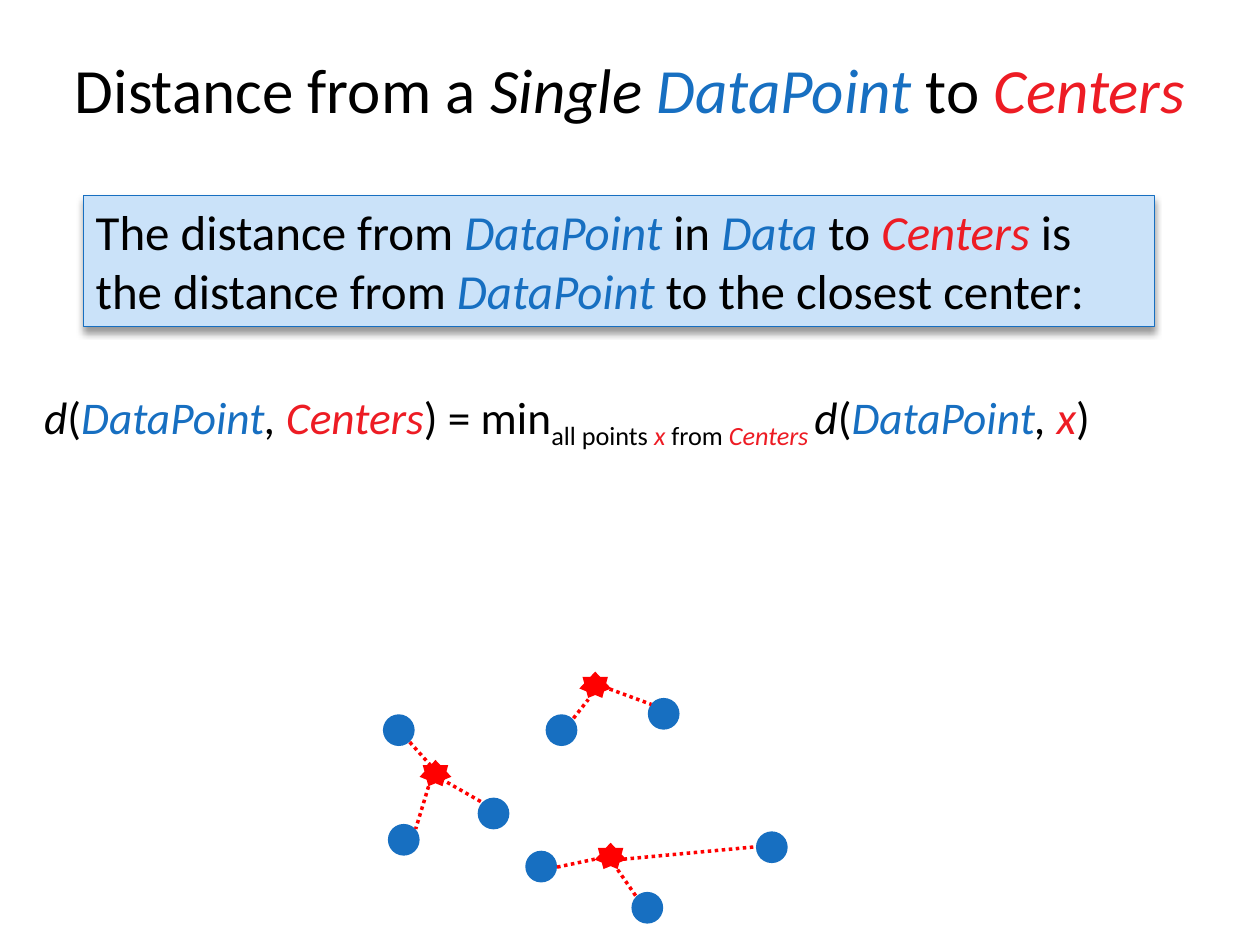
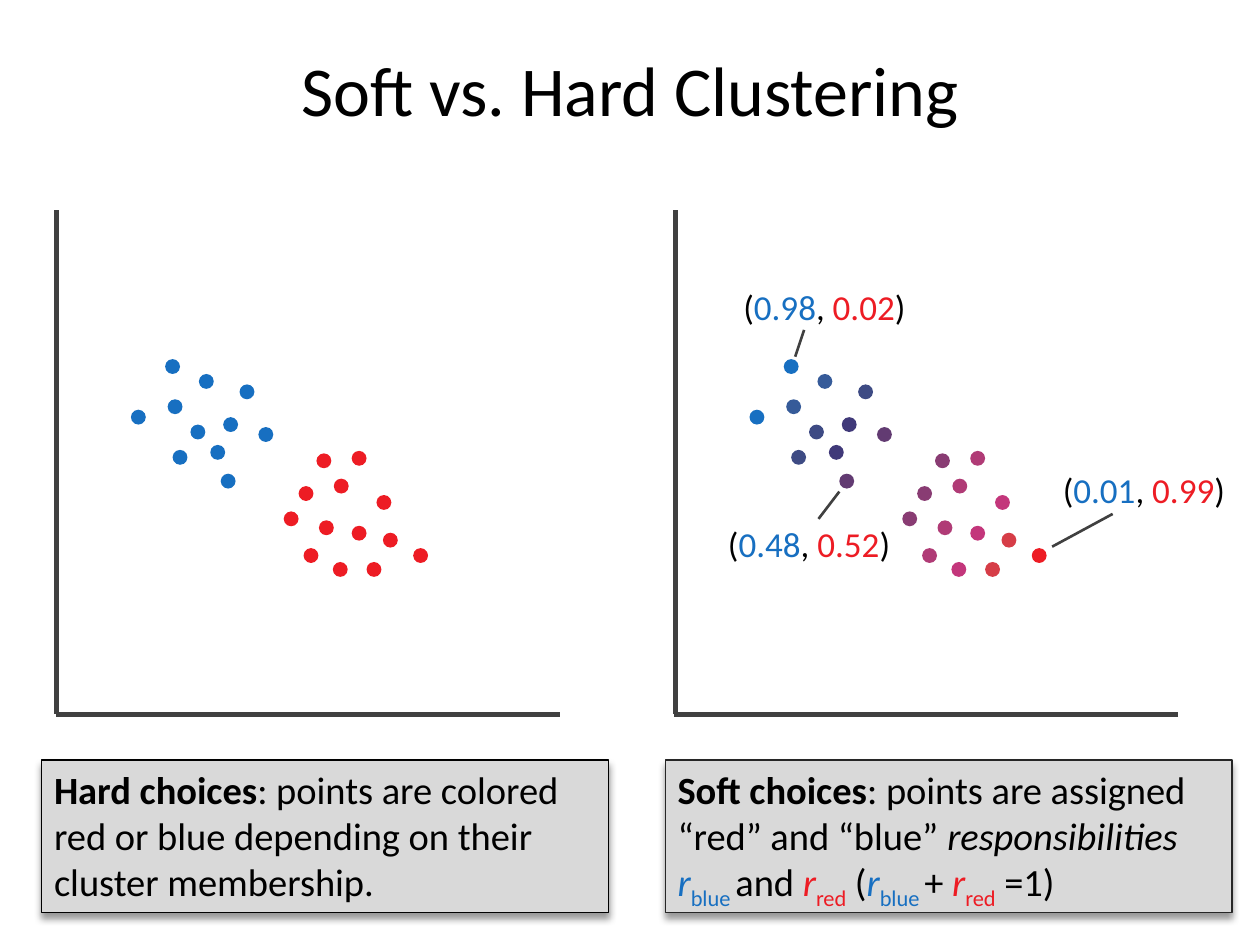
from lxml import etree
from pptx import Presentation
from pptx.dml.color import RGBColor
from pptx.enum.dml import MSO_LINE
from pptx.enum.shapes import MSO_CONNECTOR, MSO_SHAPE
from pptx.enum.text import MSO_ANCHOR, PP_ALIGN
from pptx.oxml.ns import qn
from pptx.util import Cm, Pt

OVAL, STAR, RECT = MSO_SHAPE.OVAL, MSO_SHAPE.STAR_7_POINT, MSO_SHAPE.RECTANGLE
STRAIGHT = MSO_CONNECTOR.STRAIGHT
DOTTED = MSO_LINE.ROUND_DOT
LEFT, CENTER = PP_ALIGN.LEFT, PP_ALIGN.CENTER
TOP, MIDDLE = MSO_ANCHOR.TOP, MSO_ANCHOR.MIDDLE

FONT = "Calibri"
BLACK = RGBColor(0x00, 0x00, 0x00)
BLUE = RGBColor(0x17, 0x6F, 0xC1)
RED = RGBColor(0xED, 0x1C, 0x24)
STAR_RED = RGBColor(0xFF, 0x00, 0x00)
PALE_BLUE = RGBColor(0xCA, 0xE2, 0xF9)
PALE_GRAY = RGBColor(0xD9, 0xD9, 0xD9)
DARK_GRAY = RGBColor(0x40, 0x40, 0x40)
NEAR_BLACK = RGBColor(0x26, 0x26, 0x26)
STEEL = RGBColor(0x36, 0x5B, 0x99)
NAVY = RGBColor(0x3E, 0x4B, 0x84)
INDIGO = RGBColor(0x40, 0x39, 0x79)
VIOLET = RGBColor(0x62, 0x3B, 0x72)
PLUM = RGBColor(0x89, 0x3C, 0x73)
MAGENTA = RGBColor(0xB0, 0x3B, 0x76)
PINK = RGBColor(0xC3, 0x36, 0x7B)
CORAL = RGBColor(0xD6, 0x3D, 0x47)
TEXT_COLORS = {"blue": BLUE, "red": RED}

DISTANCE_TITLE = [
    ("Distance from a ", ""), ("Single ", "italic"), ("DataPoint ", "blue italic"),
    ("to ", ""), ("Centers", "red italic"),
]
DEFINITION = [
    ("The distance from ", ""), ("DataPoint ", "blue italic"), ("in ", ""),
    ("Data ", "blue italic"), ("to ", ""), ("Centers ", "red italic"),
    ("is the distance from ", ""), ("DataPoint ", "blue italic"),
    ("to the closest center:", ""),
]
FORMULA = [
    ("d", "italic"), ("(", ""), ("DataPoint", "blue italic"), (", ", "italic"),
    ("Centers", "red italic"), (") = min", ""), ("all points ", "sub"),
    ("x ", "red italic sub"), ("from ", "sub"), ("Centers ", "red italic sub"),
    ("d", "italic"), ("(", ""), ("DataPoint", "blue italic"), (", ", "italic"),
    ("x", "red italic"), (")", ""),
]
DATA_POINTS = [
    (7.72, 14.4), (7.82, 16.61), (9.63, 16.08), (13.06, 14.07),
    (11, 14.4), (10.59, 17.15), (15.24, 16.76), (12.73, 17.98),
]
CENTERS = [(11.68, 13.54), (11.99, 16.99), (8.46, 15.32)]
DISTANCES = [
    (8.26, 14.96, 8.69, 15.44), (8.89, 15.7, 9.73, 16.18),
    (8.64, 15.85, 8.38, 16.71), (11.23, 17.48, 11.99, 17.32),
    (12.57, 17.32, 15.24, 17.07), (12.45, 17.53, 12.83, 18.08),
    (11.56, 14.48, 11.86, 14.1), (12.29, 13.89, 13.13, 14.2),
]

CLUSTERING_TITLE = [("Soft vs. Hard Clustering", "")]
HARD_CHOICES = [
    ("Hard choices", "bold"),
    (": points are colored red or blue depending on their cluster membership.", ""),
]
SOFT_CHOICES = [
    ("Soft choices", "bold"), (": points are assigned “red” and “blue” ", ""),
    ("responsibilities ", "italic"), ("r", "blue italic"), ("blue ", "blue sub"),
    ("and ", ""), ("r", "red italic"), ("red", "red sub"), (" (", ""),
    ("r", "blue italic"), ("blue ", "blue sub"), ("+ ", ""),
    ("r", "red italic"), ("red", "red sub"), (" =1)", ""),
]
BLUE_CLUSTER = [
    (3.33, 7.24, BLUE), (4.01, 7.54, STEEL), (4.83, 7.75, NAVY), (5.21, 8.61, VIOLET),
    (4.5, 8.41, INDIGO), (3.38, 8.05, STEEL), (2.64, 8.26, BLUE), (3.84, 8.56, NAVY),
    (4.24, 8.97, INDIGO), (3.48, 9.07, NAVY), (4.45, 9.55, VIOLET),
]
RED_CLUSTER = [
    (6.38, 9.14, PLUM), (7.09, 9.09, MAGENTA), (6.73, 9.65, MAGENTA),
    (7.59, 9.98, PINK), (7.72, 10.74, CORAL), (7.09, 10.6, PINK),
    (7.39, 11.33, CORAL), (6.71, 11.33, PINK), (6.12, 11.05, MAGENTA),
    (6.43, 10.49, MAGENTA), (6.02, 9.8, PLUM), (5.72, 10.31, PLUM), (8.33, 11.05, RED),
]
RESPONSIBILITIES = [
    ("0.98", "0.02", (14.12, 5.64, 5), (16.21, 6.65, 16.03, 7.19)),
    ("0.48", "0.52", (14, 10.41, 4.62), (16.92, 9.91, 16.5, 10.46)),
    ("0.01", "0.99", (20.47, 9.32, 5.18), (21.21, 11.02, 22.43, 10.36)),
]
PLOT_GAP = 12.47


def write(shape, runs, size, align=LEFT, anchor=TOP):
    tf = shape.text_frame
    tf.word_wrap = True
    tf.vertical_anchor = anchor
    p = tf.paragraphs[0]
    p.alignment = align
    for text, style in runs:
        words = style.split()
        r = p.add_run()
        r.text = text
        r.font.name = FONT
        r.font.size = Pt(size)
        r.font.bold = "bold" in words
        r.font.italic = "italic" in words
        r.font.color.rgb = next((TEXT_COLORS[w] for w in words if w in TEXT_COLORS), BLACK)
        if "sub" in words:
            r.font._element.set("baseline", "-25000")


def add_text(s, box, runs, size, align=LEFT, anchor=TOP):
    write(s.shapes.add_textbox(*map(Cm, box)), runs, size, align, anchor)


def add_title(s, runs, size):
    add_text(s, (0, 0.2, 25.4, 3.18), runs, size, CENTER, MIDDLE)


def add_figure(s, kind, box, fill):
    sp = s.shapes.add_shape(kind, *map(Cm, box))
    sp.shadow.inherit = False
    sp.fill.solid()
    sp.fill.fore_color.rgb = fill
    sp.line.fill.background()
    return sp


def add_panel(s, box, fill, border, runs, size):
    sp = add_figure(s, RECT, box, fill)
    sp.line.color.rgb = border
    sp.line.width = Pt(0.75)
    effects = sp._element.spPr.find(qn("a:effectLst"))
    shadow = etree.SubElement(effects, qn("a:outerShdw"), blurRad=str(Pt(4)),
                              dist=str(Pt(3)), dir="5400000", rotWithShape="0")
    color = etree.SubElement(shadow, qn("a:srgbClr"), val=str(BLACK))
    etree.SubElement(color, qn("a:alpha"), val="40000")
    write(sp, runs, size)


def add_line(s, ends, color, width, dash=None):
    line = s.shapes.add_connector(STRAIGHT, *map(Cm, ends))
    line.line.color.rgb = color
    line.line.width = Pt(width)
    if dash:
        line.line.dash_style = dash
    etree.SubElement(line._element.spPr, qn("a:effectLst"))


def add_plot(s, dx, dots):
    add_line(s, (1.14 + dx, 4.24, 1.14 + dx, 14.4), DARK_GRAY, 3)
    add_line(s, (11.28 + dx, 14.4, 1.12 + dx, 14.4), DARK_GRAY, 3)
    for x, y, color in dots:
        add_figure(s, OVAL, (x + dx, y, 0.3, 0.3), color)


def build_distance(s):
    add_title(s, DISTANCE_TITLE, 36)
    add_text(s, (0.64, 7.72, 24.33, 2.11), FORMULA, 25.9)
    for x, y in DATA_POINTS:
        add_figure(s, OVAL, (x, y, 0.64, 0.64), BLUE)
    for ends in DISTANCES:
        add_line(s, ends, STAR_RED, 2, DOTTED)
    for x, y in CENTERS:
        add_figure(s, STAR, (x, y, 0.64, 0.53), STAR_RED)
    add_panel(s, (1.68, 3.94, 21.59, 2.64), PALE_BLUE, BLUE, DEFINITION, 28)


def build_clustering(s):
    add_title(s, CLUSTERING_TITLE, 40)
    hard_dots = [(x, y, color) for cluster, color in ((BLUE_CLUSTER, BLUE), (RED_CLUSTER, RED))
                 for x, y, _ in cluster]
    add_plot(s, 0, hard_dots)
    add_plot(s, PLOT_GAP, BLUE_CLUSTER + RED_CLUSTER)
    for blue, red, (x, y, w), pointer in RESPONSIBILITIES:
        runs = [("(", ""), (blue, "blue"), (", ", ""), (red, "red"), (")", "")]
        add_text(s, (x, y, w, 1.12), runs, 20, CENTER)
        add_line(s, pointer, DARK_GRAY, 1.5)
    for x, border, runs in ((0.84, BLACK, HARD_CHOICES), (13.41, NEAR_BLACK, SOFT_CHOICES)):
        add_panel(s, (x, 15.32, 11.43, 3.07), PALE_GRAY, border, runs, 22)


def main():
    prs = Presentation()
    prs.slide_width, prs.slide_height = Cm(25.4), Cm(19.05)
    for build in (build_distance, build_clustering):
        build(prs.slides.add_slide(prs.slide_layouts[6]))
    prs.save("out.pptx")


if __name__ == "__main__":
    main()
